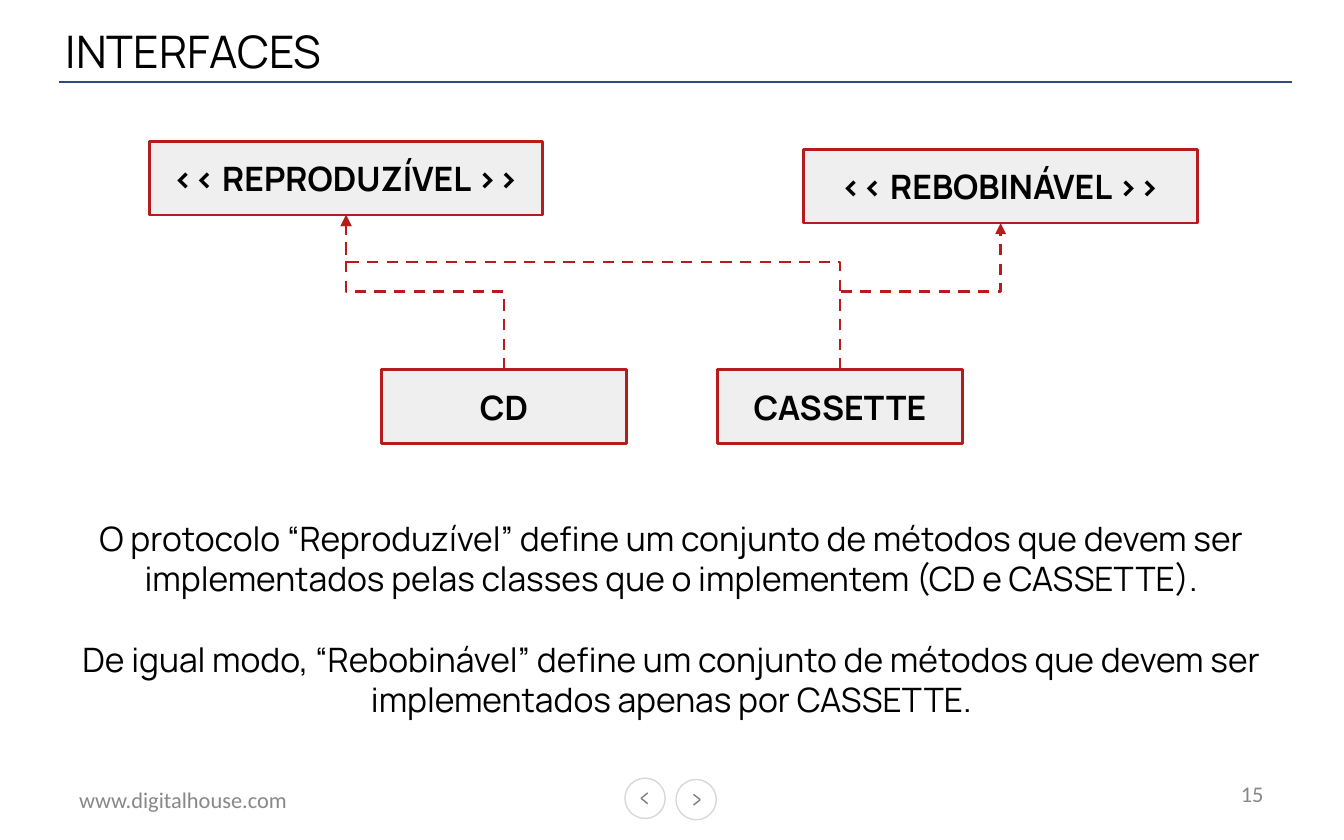
import pptx
import pptx.dml.color
import pptx.enum.dml
import pptx.enum.shapes
import pptx.enum.text
import pptx.oxml
import pptx.util

Inches = pptx.util.Inches
Align = pptx.enum.text.PP_ALIGN
Shape = pptx.enum.shapes.MSO_SHAPE
Connector = pptx.enum.shapes.MSO_CONNECTOR
NAMESPACE = "http://schemas.openxmlformats.org/drawingml/2006/main"

RED, BLACK, GRAY = "B71C1C", "000000", "888888"
TITLE = "INTERFACES"
BOXES = {
    "player": ("<< REPRODUZÍVEL >>", 1.11, 1.05, 2.93),
    "rewinder": ("<< REBOBINÁVEL >>", 5.98, 1.11, 2.93),
    "cd": ("CD", 2.84, 2.75, 1.82),
    "cassette": ("CASSETTE", 5.34, 2.75, 1.82),
}
BOX_HEIGHT = 0.55
IMPLEMENTS = [
    ("cd", "player", 2.17),
    ("cassette", "player", 1.95),
    ("cassette", "rewinder", 2.17),
]
EXPLANATION = [
    "O protocolo “Reproduzível” define um conjunto de métodos que devem ser "
    "implementados pelas classes que o implementem (CD e CASSETTE).",
    "De igual modo, “Rebobinável” define um conjunto de métodos que devem ser "
    "implementados apenas por CASSETTE.",
]
WEBSITE, PAGE_NUMBER = "www.digitalhouse.com", "15"
BUTTONS = [(4.65, 5.79, 4.77, 4.82), (5.03, 5.8, 5.21, 5.16)]
BUTTON_SIZE = 0.3


def color(value):
    return pptx.dml.color.RGBColor.from_string(value)


def place(shape, left, top, width, height):
    shape.left, shape.top = Inches(left), Inches(top)
    shape.width, shape.height = Inches(width), Inches(height)


def write(shape, *texts, size=18, font="Manrope", fill=BLACK, bold=False,
          align=Align.CENTER, inset=(0.1, 0.1), gap=0):
    frame = shape.text_frame
    frame.word_wrap = True
    frame.auto_size = pptx.enum.text.MSO_AUTO_SIZE.NONE
    frame.vertical_anchor = pptx.enum.text.MSO_ANCHOR.MIDDLE
    frame.margin_left = frame.margin_right = Inches(inset[0])
    frame.margin_top = frame.margin_bottom = Inches(inset[1])
    for index, text in enumerate(texts):
        paragraph = frame.add_paragraph() if index else frame.paragraphs[0]
        paragraph.alignment = align
        if index:
            paragraph.space_before = pptx.util.Pt(gap)
        run = paragraph.add_run()
        run.text = text
        run.font.size = pptx.util.Pt(size)
        run.font.name = font
        run.font.bold = bold
        run.font.color.rgb = color(fill)


def add_text(slide, position, *texts, **style):
    box = slide.shapes.add_textbox(*map(Inches, position))
    write(box, *texts, **style)


def style_line(shape, value, width):
    shape.line.color.rgb = color(value)
    shape.line.width = pptx.util.Pt(width)


def add_box(slide, kind, position, fill, line, width):
    shape = slide.shapes.add_shape(kind, *map(Inches, position))
    shape.shadow.inherit = False
    shape.fill.solid()
    shape.fill.fore_color.rgb = color(fill)
    style_line(shape, line, width)
    return shape


def add_line(slide, start, end, value, width, kind=Connector.STRAIGHT):
    line = slide.shapes.add_connector(kind, *map(Inches, (*start, *end)))
    style_line(line, value, width)
    line._element.spPr.append(
        pptx.oxml.parse_xml(f'<a:effectLst xmlns:a="{NAMESPACE}"/>'))
    return line


def add_implementation(slide, source, target, turn):
    start_x, start_y = source.left + source.width // 2, source.top
    end_x, end_y = target.left + target.width // 2, target.top + target.height
    rise, run = start_y - end_y, abs(end_x - start_x)
    arrow = add_line(slide, (0, 0), (1, 1), RED, 1.5, Connector.ELBOW)
    arrow.begin_connect(source, 0)
    arrow.end_connect(target, 2)
    arrow.left = (start_x + end_x - rise) // 2
    arrow.top = (start_y + end_y - run) // 2
    arrow.width, arrow.height = rise, run
    properties = arrow._element.spPr
    transform = properties.xfrm
    leftward = end_x < start_x
    transform.set("rot", "5400000" if leftward else "16200000")
    transform.set("flipH", "1" if leftward else "0")
    transform.set("flipV", "0")
    bend = round((start_y - Inches(turn)) / rise * 100000)
    guides = properties.prstGeom.get_or_add_avLst()
    guides.append(pptx.oxml.parse_xml(
        f'<a:gd xmlns:a="{NAMESPACE}" name="adj1" fmla="val {bend}"/>'))
    arrow.line.dash_style = pptx.enum.dml.MSO_LINE.DASH
    arrow.line._get_or_add_ln().append(pptx.oxml.parse_xml(
        f'<a:tailEnd xmlns:a="{NAMESPACE}" type="triangle"/>'))


def main():
    presentation = pptx.Presentation()
    presentation.slide_width = Inches(10)
    presentation.slide_height = Inches(6.25)
    slide = presentation.slides.add_slide(presentation.slide_layouts[5])

    title = slide.shapes.title
    place(title, 0.49, 0.16, 6.67, 0.43)
    write(title, TITLE, size=24, align=Align.LEFT, inset=(0, 0))
    add_line(slide, (0.44, 0.61), (9.61, 0.61), "304884", 0.75)

    boxes = {}
    for name, (label, left, top, width) in BOXES.items():
        position = (left, top, width, BOX_HEIGHT)
        boxes[name] = add_box(slide, Shape.RECTANGLE, position, "EFEFEF", RED, 1.5)
        write(boxes[name], label, bold=True)
    for source, target, turn in IMPLEMENTS:
        add_implementation(slide, boxes[source], boxes[target], turn)

    add_text(slide, (0.35, 3.66, 9.29, 1.88), *EXPLANATION, gap=21.6)

    footer = dict(size=12, font="Calibri", fill=GRAY, inset=(0.1, 0.05))
    add_text(slide, (0.49, 5.8, 2.33, 0.3), WEBSITE, align=Align.LEFT, **footer)
    add_text(slide, (7.17, 5.74, 2.33, 0.33), PAGE_NUMBER, align=Align.RIGHT, **footer)
    for left, top, tip, tail in BUTTONS:
        position = (left, top, BUTTON_SIZE, BUTTON_SIZE)
        add_box(slide, Shape.OVAL, position, "FFFFFF", "D8D8D8", 0.75)
        middle = top + BUTTON_SIZE / 2
        for offset in (-0.04, 0.04):
            add_line(slide, (tip, middle), (tail, middle + offset), "7F7F7F", 0.75)

    presentation.save("out.pptx")


if __name__ == "__main__":
    main()
